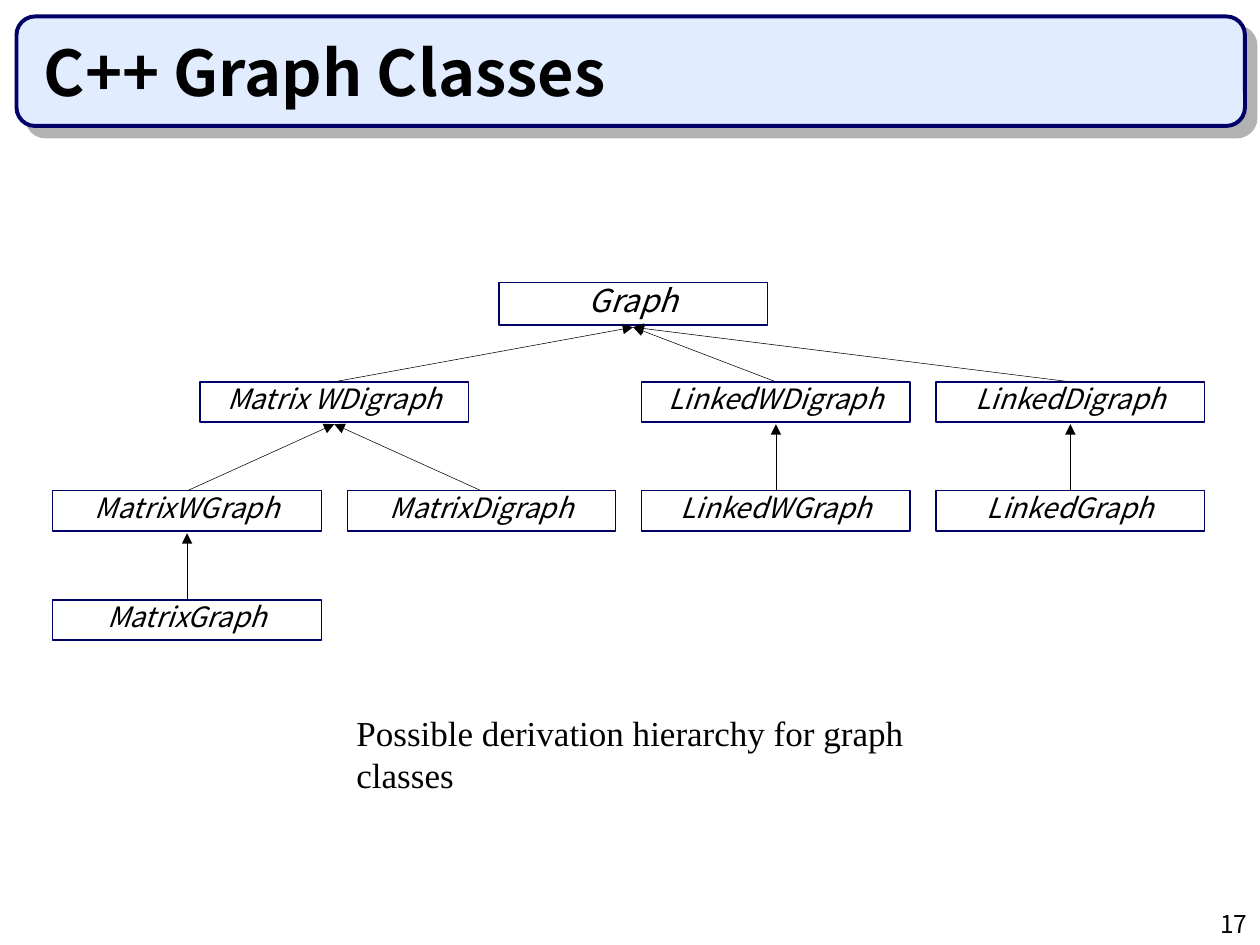
from lxml import etree
from pptx import Presentation
from pptx.dml.color import RGBColor
from pptx.enum.shapes import MSO_CONNECTOR, MSO_SHAPE
from pptx.enum.text import MSO_ANCHOR, PP_ALIGN
from pptx.oxml.ns import qn
from pptx.util import Pt

RECT, ROUND = MSO_SHAPE.RECTANGLE, MSO_SHAPE.ROUNDED_RECTANGLE
STRAIGHT = MSO_CONNECTOR.STRAIGHT
LEFT, CENTER, RIGHT = PP_ALIGN.LEFT, PP_ALIGN.CENTER, PP_ALIGN.RIGHT
TOP, BOTTOM = MSO_ANCHOR.TOP, MSO_ANCHOR.BOTTOM

BLACK = RGBColor(0x00, 0x00, 0x00)
NAVY = RGBColor(0x00, 0x00, 0x66)
PALE_BLUE = RGBColor(0xE1, 0xEC, 0xFF)
SHADOW_GRAY = RGBColor(0xB2, 0xB2, 0xB2)
SANS, SERIF = "Noto Sans CJK KR", "Times New Roman"

TITLE = "C++ Graph Classes"
CAPTION = "Possible derivation hierarchy for graph classes"
PAGE = "17"

ROOT = "Graph"
CLASSES = [
    ("Matrix WDigraph", ROOT, 0.5, 0),
    ("LinkedWDigraph", ROOT, 2, 0),
    ("LinkedDigraph", ROOT, 3, 0),
    ("MatrixWGraph", "Matrix WDigraph", 0, 1),
    ("MatrixDigraph", "Matrix WDigraph", 1, 1),
    ("LinkedWGraph", "LinkedWDigraph", 2, 1),
    ("LinkedGraph", "LinkedDigraph", 3, 1),
    ("MatrixGraph", "MatrixWGraph", 0, 2),
]

GRID_X, GRID_Y = 30.2, 218.2
STEP_X, STEP_Y = 168.25, 62.3
BOX_W, BOX_H = 153.4, 23
ROOT_X, ROOT_Y, ROOT_H = 285.1, 161.3, 24.5
TIP_GAP = 1.2


def write(sp, text, size, font=SANS, align=LEFT, anchor=TOP, wrap=True):
    tf = sp.text_frame
    tf.word_wrap = wrap
    tf.vertical_anchor = anchor
    p = tf.paragraphs[0]
    p.text = text
    p.alignment = align
    p.font.size = Pt(size)
    p.font.name = font
    p.font.color.rgb = BLACK
    return p


def add_text(slide, box, text, size, **style):
    sp = slide.shapes.add_textbox(*map(Pt, box))
    return write(sp, text, size, **style)


def add_banner(slide):
    s = slide.shapes.add_shape(ROUND, Pt(9.4), Pt(9.4), Pt(702), Pt(62.6))
    s.adjustments[0] = 0.17
    s.fill.solid()
    s.fill.fore_color.rgb = PALE_BLUE
    s.line.color.rgb = NAVY
    s.line.width = Pt(2.25)
    s.shadow.inherit = False
    effects = s._element.spPr.find(qn("a:effectLst"))
    shadow = etree.SubElement(effects, qn("a:outerShdw"), dist=str(Pt(8.5)),
                              dir="2700000", algn="ctr", rotWithShape="0")
    etree.SubElement(shadow, qn("a:srgbClr"), val=str(SHADOW_GRAY))


def add_class(slide, name, x, y, h, size):
    s = slide.shapes.add_shape(RECT, Pt(x), Pt(y), Pt(BOX_W), Pt(h))
    s.fill.background()
    s.line.color.rgb = NAVY
    s.line.width = Pt(0.75)
    s.shadow.inherit = False
    p = write(s, name, size, align=CENTER)
    p.line_spacing = 0.8
    p.font.italic = True
    return s


def add_arrow(slide, child, parent):
    c = slide.shapes.add_connector(
        STRAIGHT,
        child.left + child.width // 2, child.top,
        parent.left + parent.width // 2,
        parent.top + parent.height + Pt(TIP_GAP))
    c.line.color.rgb = BLACK
    c.line.width = Pt(0.31)
    etree.SubElement(c.line._get_or_add_ln(), qn("a:tailEnd"), type="triangle")
    etree.SubElement(c._element.spPr, qn("a:effectLst"))


def main():
    prs = Presentation()
    prs.slide_width, prs.slide_height = Pt(720), Pt(540)
    slide = prs.slides.add_slide(prs.slide_layouts[6])

    add_banner(slide)
    add_text(slide, (570, 516, 150, 24), PAGE, 14, align=RIGHT)
    title = add_text(slide, (18, 18, 678, 48), TITLE, 36, anchor=BOTTOM)
    title.font.bold = True

    boxes = {ROOT: add_class(slide, ROOT, ROOT_X, ROOT_Y, ROOT_H, 18)}
    for name, _, col, row in CLASSES:
        boxes[name] = add_class(slide, name, GRID_X + col * STEP_X,
                                GRID_Y + row * STEP_Y, BOX_H, 16)
    add_text(slide, (196.6, 403.2, 387.4, 31.7), CAPTION, 20,
             font=SERIF, wrap=False)
    for name, parent, _, _ in CLASSES:
        add_arrow(slide, boxes[name], boxes[parent])

    prs.save("out.pptx")


if __name__ == "__main__":
    main()
